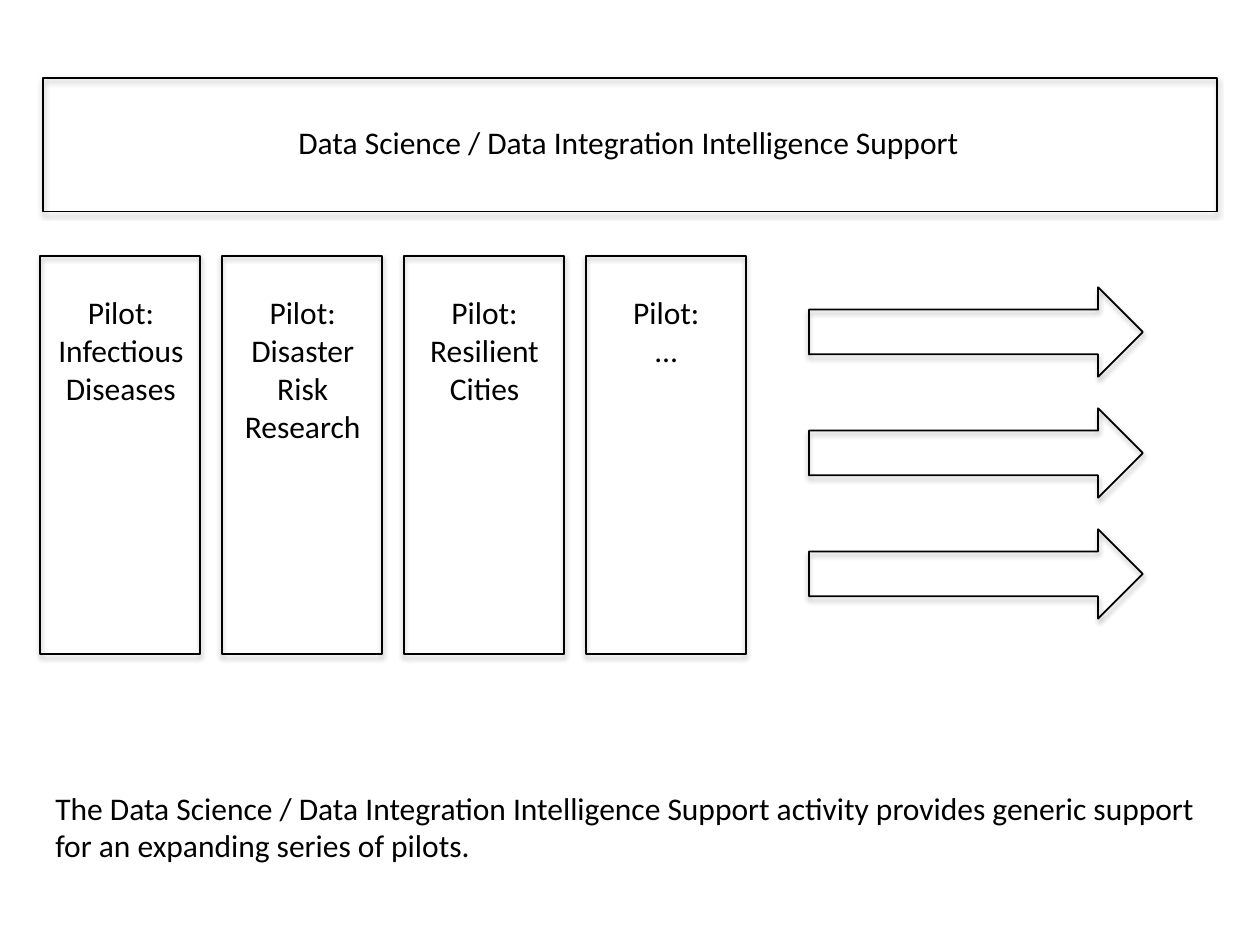
from dataclasses import dataclass, field

from lxml.etree import SubElement
from pptx import Presentation
from pptx.dml.color import RGBColor
from pptx.enum.shapes import MSO_SHAPE as Shape
from pptx.enum.text import MSO_AUTO_SIZE as AutoSize, PP_ALIGN as Align
from pptx.oxml.ns import qn
from pptx.slide import Slide
from pptx.util import Inches, Pt


@dataclass(frozen=True)
class Theme:
    ink: str = "000000"
    line: float = 1
    font: dict = field(default_factory=lambda: {
        "name": "Calibri", "size": Pt(18)})
    shadow: dict = field(default_factory=lambda: {
        "blurRad": Pt(3.1), "dist": Pt(1.8), "dir": 90 * 60000,
        "rotWithShape": 0})
    shadow_alpha: int = 35


@dataclass(frozen=True)
class Box:
    left: float
    top: float
    width: float
    height: float

    def step(self, col: float = 0, row: float = 0) -> "Box":
        return Box(self.left + col * COLUMN, self.top + row * ROW,
                   self.width, self.height)

    def emu(self) -> list:
        return [Inches(v) for v in
                (self.left, self.top, self.width, self.height)]


@dataclass(frozen=True)
class Pilot:
    name: str
    label_height: float


THEME = Theme()
COLUMN, ROW = 1.443, 0.96
BANNER = Box(0.34, 0.62, 9.32, 1.06)
BANNER_LABEL = Box(0.51, 0.93, 8.96, 0.4)
PILLAR = Box(0.32, 2.03, 1.27, 3.16)
ARROW = Box(6.42, 2.28, 2.65, 0.71)
ARROW_COUNT = 3
SUMMARY = Box(0.34, 6.21, 9.32, 0.71)
PILOTS = [
    Pilot("Infectious Diseases", 1.01),
    Pilot("Disaster Risk Research", 1.31),
    Pilot("Resilient Cities", 1.01),
    Pilot("…", 0.71),
]


def add_outline(s: Slide, kind: Shape, box: Box) -> None:
    sp = s.shapes.add_shape(kind, *box.emu())
    sp.fill.background()
    sp.line.color.rgb = RGBColor.from_string(THEME.ink)
    sp.line.width = Pt(THEME.line)
    sp.shadow.inherit = False
    effects = sp.element.spPr.find(qn("a:effectLst"))
    shadow = SubElement(effects, qn("a:outerShdw"))
    for key, value in THEME.shadow.items():
        shadow.set(key, str(int(value)))
    color = SubElement(shadow, qn("a:srgbClr"), val=THEME.ink)
    SubElement(color, qn("a:alpha"), val=str(THEME.shadow_alpha * 1000))


def add_label(s: Slide, box: Box, lines: list[str],
              align: Align = Align.CENTER) -> None:
    tf = s.shapes.add_textbox(*box.emu()).text_frame
    tf.word_wrap = True
    tf.auto_size = AutoSize.SHAPE_TO_FIT_TEXT
    for i, line in enumerate(lines):
        p = tf.add_paragraph() if i else tf.paragraphs[0]
        p.alignment = align
        r = p.add_run()
        r.text = line
        for key, value in THEME.font.items():
            setattr(r.font, key, value)
        r.font.color.rgb = RGBColor.from_string(THEME.ink)


def main() -> None:
    prs = Presentation()
    prs.slide_width, prs.slide_height = Inches(10), Inches(7.5)
    s = prs.slides.add_slide(prs.slide_layouts.get_by_name("Blank"))

    add_outline(s, Shape.RECTANGLE, BANNER)
    add_label(s, BANNER_LABEL,
              ["Data Science / Data Integration Intelligence Support"])
    for col, pilot in enumerate(PILOTS):
        add_outline(s, Shape.RECTANGLE, PILLAR.step(col=col))
        label = Box(PILLAR.left + 0.01, ARROW.top, 1.26, pilot.label_height)
        add_label(s, label.step(col=col), ["Pilot:", pilot.name])
    for row in range(ARROW_COUNT):
        add_outline(s, Shape.RIGHT_ARROW, ARROW.step(row=row))
    add_label(s, SUMMARY, [
        "The Data Science / Data Integration Intelligence Support activity "
        "provides generic support for an expanding series of pilots."],
        Align.LEFT)

    prs.save("out.pptx")


if __name__ == "__main__":
    main()
